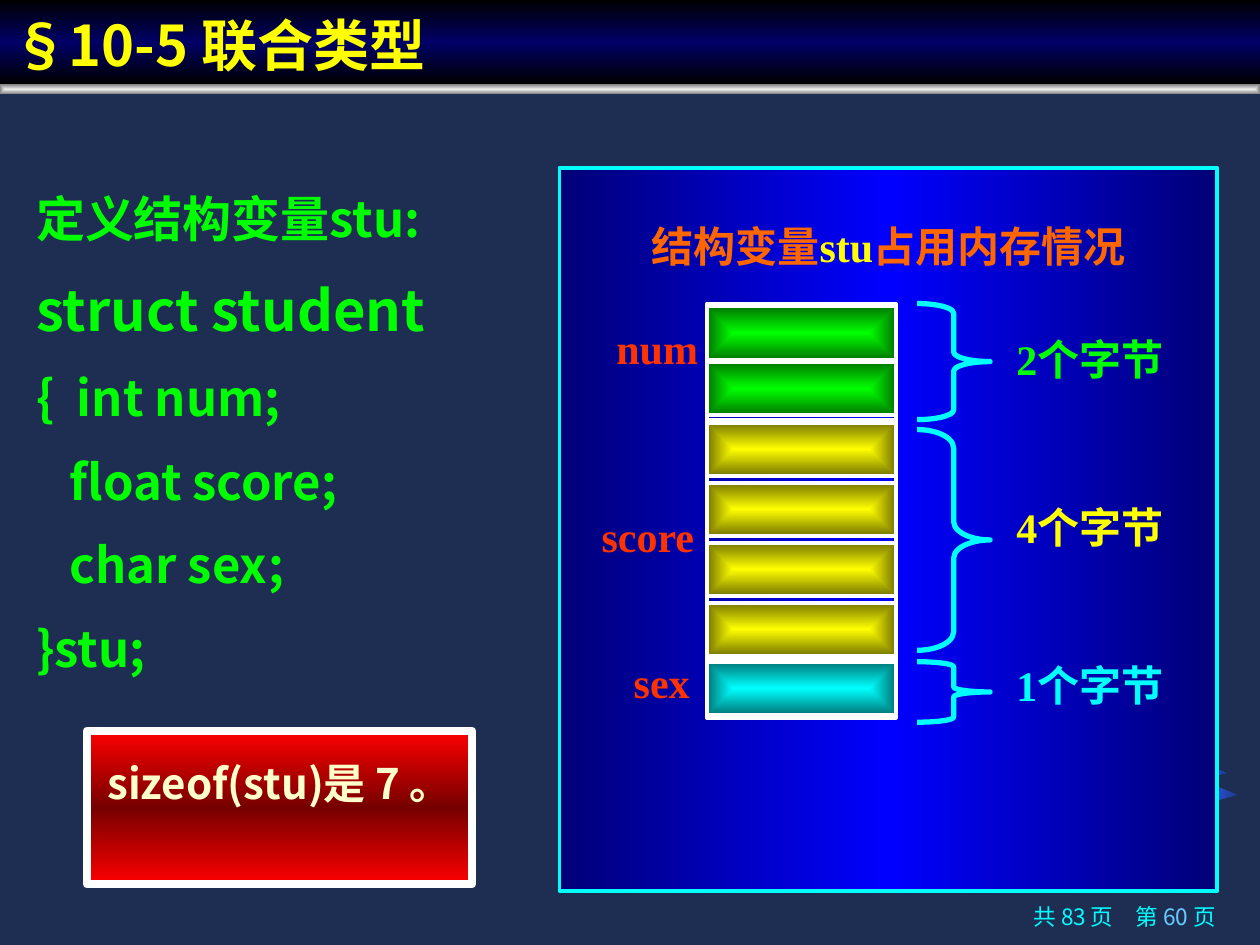
from lxml.etree import SubElement
from pptx import Presentation
from pptx.dml.color import RGBColor
from pptx.enum.shapes import MSO_SHAPE as Shape
from pptx.enum.text import MSO_ANCHOR as Anchor, PP_ALIGN as Align
from pptx.oxml.ns import qn
from pptx.util import Cm, Pt

NAVY = RGBColor(0x1E, 0x2E, 0x53)
BLACK = RGBColor(0x00, 0x00, 0x00)
MIDNIGHT = RGBColor(0x00, 0x00, 0x66)
DEEP_BLUE = RGBColor(0x00, 0x00, 0x76)
BLUE = RGBColor(0x00, 0x00, 0xFF)
STAR_BLUE = RGBColor(0x33, 0x66, 0xFF)
STAR_DARK = RGBColor(0x18, 0x2F, 0x76)
SILVER = RGBColor(0xED, 0xED, 0xED)
GRAY = RGBColor(0x80, 0x80, 0x80)
WHITE = RGBColor(0xFF, 0xFF, 0xFF)
GREEN = RGBColor(0x00, 0xFF, 0x00)
DARK_GREEN = RGBColor(0x00, 0x76, 0x00)
YELLOW = RGBColor(0xFF, 0xFF, 0x00)
DARK_YELLOW = RGBColor(0x76, 0x76, 0x00)
CYAN = RGBColor(0x00, 0xFF, 0xFF)
DARK_CYAN = RGBColor(0x00, 0x76, 0x76)
SKY = RGBColor(0x66, 0xCC, 0xFF)
RED = RGBColor(0xFF, 0x00, 0x00)
DARK_RED = RGBColor(0x76, 0x00, 0x00)
VERMILION = RGBColor(0xFF, 0x33, 0x00)
ORANGE = RGBColor(0xFF, 0x66, 0x00)
CREAM = RGBColor(0xFF, 0xFF, 0xCC)

SANS = "Noto Sans CJK SC"
SERIF = "Times New Roman"

# Fields of the structure: lengths in cm, measured from the panel's corner
FIELDS = [
    dict(name="num", size=2, bright=GREEN, dark=DARK_GREEN, frame=(2.74, 2.34), pitch=1.12,
         name_at=(0.77, 3.0), brace=(2.74, 2.34), size_top=3.22),
    dict(name="score", size=4, bright=YELLOW, dark=DARK_YELLOW, frame=(5.08, 4.82), pitch=1.21,
         name_at=(0.58, 6.78), brace=(5.28, 4.45), size_top=6.6),
    dict(name="sex", size=1, bright=CYAN, dark=DARK_CYAN, frame=(9.9, 1.19), pitch=1.21,
         name_at=(0.86, 9.73), brace=(9.96, 1.22), size_top=9.78),
]


def paint_gradient(shape, colors, angle=None):
    """Evenly spaced stops; without an angle they run from the centre outwards."""
    shape.fill.gradient()
    gradient = shape.fill._xPr.find(qn("a:gradFill"))
    for child in list(gradient):
        gradient.remove(child)
    stops = SubElement(gradient, qn("a:gsLst"))
    for i, color in enumerate(colors):
        stop = SubElement(stops, qn("a:gs"), pos=str(100000 * i // (len(colors) - 1)))
        SubElement(stop, qn("a:srgbClr"), val=str(color))
    if angle is None:
        focus = SubElement(gradient, qn("a:path"), path="rect")
        SubElement(focus, qn("a:fillToRect"), {side: "50000" for side in "ltrb"})
    else:
        SubElement(gradient, qn("a:lin"), ang=str(angle * 60000), scaled="1")


def add_block(slide, box, kind=Shape.RECTANGLE, colors=None, angle=None, line=None):
    block = slide.shapes.add_shape(kind, *map(Cm, box))
    block.shadow.inherit = False
    if colors:
        paint_gradient(block, colors, angle)
    else:
        block.fill.background()
    if line:
        block.line.color.rgb, block.line.width = line[0], Pt(line[1])
    else:
        block.line.fill.background()
    return block


def write(shape, lines, font, frame=None, paragraph=None):
    """Each line is a list of (text, points, colour) runs."""
    text = shape.text_frame
    frame_format = dict(word_wrap=True, vertical_anchor=Anchor.TOP, margin_left=Cm(0.25),
                        margin_right=Cm(0.25), margin_top=Cm(0.13), margin_bottom=Cm(0.13))
    for key, value in (frame_format | (frame or {})).items():
        setattr(text, key, value)
    for i, runs in enumerate(lines):
        line = text.add_paragraph() if i else text.paragraphs[0]
        for key, value in (dict(alignment=Align.LEFT) | (paragraph or {})).items():
            setattr(line, key, value)
        if i:
            line.space_before = Pt(runs[0][1] * 0.625)
        for words, points, color in runs:
            run = line.add_run()
            run.text = words
            for key, value in (dict(bold=True, name=SANS, size=Pt(points)) | font).items():
                setattr(run.font, key, value)
            run.font.color.rgb = color
            SubElement(run.font._element, qn("a:ea"), typeface=SANS)


def add_text(slide, box, lines, font, frame=None, paragraph=None):
    write(slide.shapes.add_textbox(*map(Cm, box)), lines, font, frame, paragraph)


def draw_backdrop(slide, width):
    slide.background.fill.solid()
    slide.background.fill.fore_color.rgb = NAVY
    for left, top in [(23.01, 14.6), (23.22, 15.04)]:
        star = add_block(slide, (left, top, 1.7, 1.7), Shape.STAR_5_POINT, [STAR_BLUE, STAR_DARK])
        star.rotation = 22
    add_block(slide, (0, 1.7, width, 0.2), colors=[SILVER, GRAY])


def draw_title(slide, box):
    title = add_block(slide, box, colors=[BLACK, MIDNIGHT, BLACK], angle=90)
    write(title, [[("§10-5 联合类型", 32, YELLOW)]], {}, dict(vertical_anchor=Anchor.BOTTOM))


def draw_code(slide, box):
    code = [("定义结构变量stu:", 28), ("struct student", 32), ("{  int num;", 28),
            ("   float score;", 28), ("   char sex;", 28), ("}stu;", 28)]
    add_text(slide, box, [[(words, points, GREEN)] for words, points in code], {},
             paragraph=dict(line_spacing=0.9))


def draw_field(slide, left, top, field):
    """One field: byte cells, frame, name, brace and size."""
    frame_top, frame_height = field["frame"]
    column, column_width = left + 2.97, 3.81
    for i in range(field["size"]):
        cell_top = top + frame_top + 0.06 + i * field["pitch"]
        add_block(slide, (column, cell_top, column_width, 1.07),
                  colors=[field["bright"], field["dark"]], line=(WHITE, 2.25))
    add_block(slide, (column, top + frame_top, column_width, frame_height), line=(WHITE, 2.25))

    brace_top, brace_height = field["brace"]
    brace_width = 1.47
    brace = add_block(slide, (left + 7.21, top + brace_top, brace_width, brace_height),
                      Shape.RIGHT_BRACE, line=(CYAN, 3))
    brace.adjustments[0] = brace_height / 12 / min(brace_width, brace_height)

    name_left, name_top = field["name_at"]
    for box, words, color in [
        ((left + name_left, top + name_top, 2.4, 1.27), field["name"], VERMILION),
        ((left + 8.86, top + field["size_top"], 3.66, 1.27), f"{field['size']}个字节", field["bright"]),
    ]:
        add_text(slide, box, [[(words, 24, color)]], dict(name=SERIF),
                 dict(word_wrap=False), dict(alignment=Align.CENTER))


def draw_memory(slide, box):
    panel = add_block(slide, box, colors=[DEEP_BLUE, BLUE, DEEP_BLUE], angle=0, line=(CYAN, 2.25))
    heading = [("结构变量", 24, ORANGE), ("stu", 24, YELLOW), ("占用内存情况", 24, ORANGE)]
    write(panel, [heading], dict(name=SERIF), dict(margin_top=Cm(1.07)),
          dict(alignment=Align.CENTER))
    for field in FIELDS:
        draw_field(slide, box[0], box[1], field)


def draw_result(slide, box):
    result = add_block(slide, box, colors=[RED, DARK_RED, RED], angle=90, line=(WHITE, 4.5))
    write(result, [[("sizeof(stu)是 7 。", 24, CREAM)]], {},
          paragraph=dict(alignment=Align.CENTER, line_spacing=1.4))


def draw_page_number(slide, box):
    numbers = [("共 83 页　第 ", 12.9, CYAN), ("60 ", 12.9, SKY), ("页", 12.9, CYAN)]
    add_text(slide, box, [numbers], dict(bold=False),
             paragraph=dict(alignment=Align.RIGHT, line_spacing=0.9))


def main():
    deck = Presentation()
    deck.slide_width, deck.slide_height = Cm(25.4), Cm(19.05)
    slide = deck.slides.add_slide(deck.slide_layouts[6])
    draw_backdrop(slide, 25.4)
    draw_code(slide, (0.48, 3.81, 10.36, 11.23))
    draw_memory(slide, (11.28, 3.38, 13.26, 14.58))
    draw_result(slide, (1.75, 14.73, 7.77, 3.1))
    draw_title(slide, (0, 0, 25.4, 1.7))
    draw_page_number(slide, (18.08, 18.14, 6.68, 0.91))
    deck.save("out.pptx")


if __name__ == "__main__":
    main()
